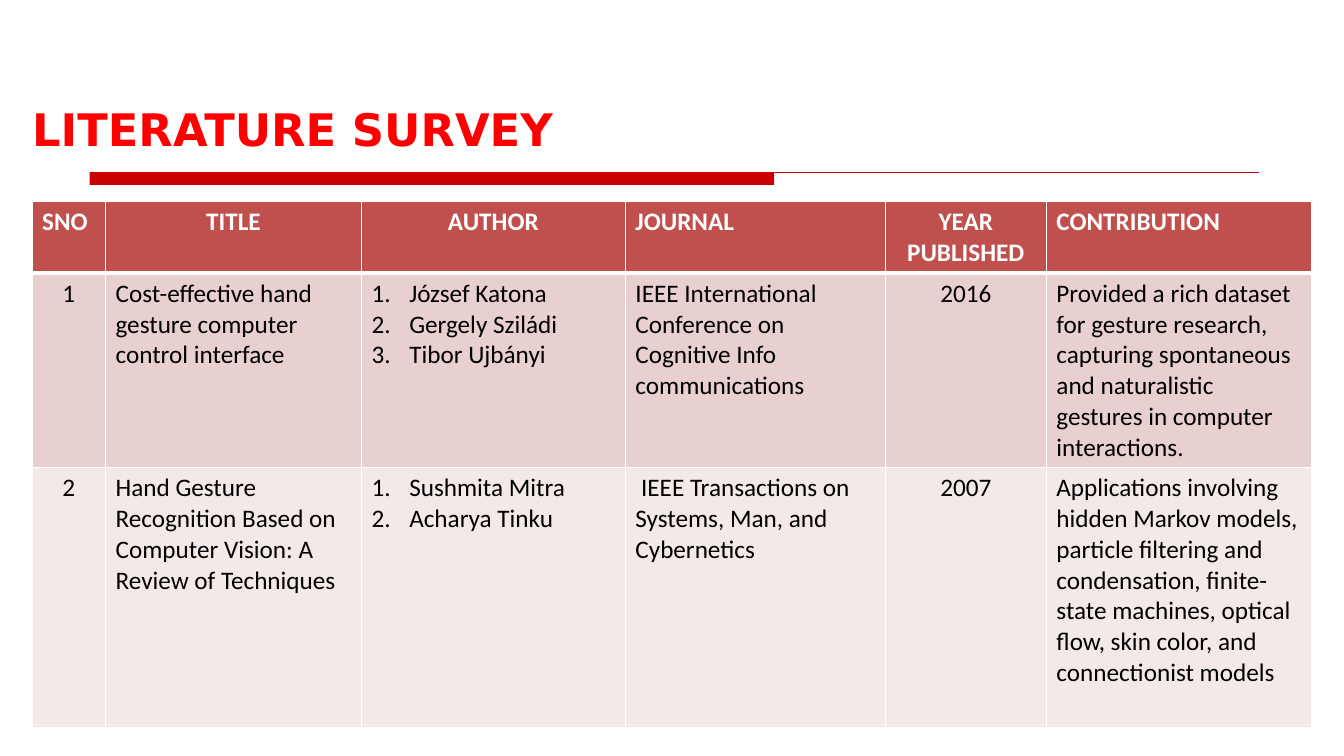
"""Build the literature survey slide."""
from lxml.etree import SubElement
from pptx import Presentation
from pptx.dml.color import RGBColor
from pptx.enum.shapes import MSO_CONNECTOR, MSO_SHAPE
from pptx.enum.text import MSO_ANCHOR, MSO_AUTO_SIZE, PP_ALIGN
from pptx.oxml.ns import qn
from pptx.util import Cm, Pt

HEADING = "LITERATURE SURVEY"
COLUMNS = [
    ("SNO", 1.85, PP_ALIGN.LEFT),
    ("TITLE", 6.45, PP_ALIGN.CENTER),
    ("AUTHOR", 6.65, PP_ALIGN.CENTER),
    ("JOURNAL", 6.55, PP_ALIGN.LEFT),
    ("YEAR PUBLISHED", 4.06, PP_ALIGN.CENTER),
    ("CONTRIBUTION", 6.68, PP_ALIGN.LEFT),
]
PAPERS = [
    ("1", "Cost-effective hand gesture computer control interface",
     ["József Katona", "Gergely Sziládi", "Tibor Ujbányi"],
     "IEEE International Conference on Cognitive Info communications", "2016",
     "Provided a rich dataset for gesture research, capturing spontaneous and "
     "naturalistic gestures in computer interactions."),
    ("2", "Hand Gesture Recognition Based on Computer Vision: A Review of Techniques",
     ["Sushmita Mitra", "Acharya Tinku"],
     " IEEE Transactions on Systems, Man, and Cybernetics", "2007",
     "Applications involving hidden Markov models, particle filtering and "
     "condensation, finite-state machines, optical flow, skin color, and "
     "connectionist models"),
]
ROW_HEIGHTS = [1.78, 4.9, 6.55]
CENTERED_COLUMNS = (0, 4)
COLORS = {
    "heading": "FF0000", "rule": "CC0000", "header": "C0504D",
    "odd": "E8D0D0", "even": "F4E9E9", "white": "FFFFFF", "text": "000000",
}
LEFT, TABLE_TOP = Cm(0.81), Cm(5.08)
RULE_LEFT, RULE_TOP = Cm(2.26), Cm(4.34)


def color(name):
    return RGBColor.from_string(COLORS[name])


def add_run(paragraph, text, font_name, size, color_name, bold):
    run = paragraph.add_run()
    run.text = text
    run.font.name = font_name
    run.font.size = Pt(size)
    run.font.bold = bold
    run.font.color.rgb = color(color_name)


def number_paragraph(paragraph):
    properties = paragraph._p.get_or_add_pPr()
    properties.set("marL", str(Cm(0.95)))
    properties.set("indent", str(-Cm(0.95)))
    SubElement(properties, qn("a:buFont"), typeface="+mj-lt")
    SubElement(properties, qn("a:buAutoNum"), type="arabicPeriod")


def add_borders(cell, widths):
    properties = cell._tc.get_or_add_tcPr()
    for position, (side, width) in enumerate(widths.items()):
        border = SubElement(properties, qn(f"a:ln{side}"), w=str(Pt(width)))
        fill = SubElement(border, qn("a:solidFill"))
        SubElement(fill, qn("a:srgbClr"), val=COLORS["white"])
        properties.insert(position, border)


def fill_cell(cell, content, align, fill_name, is_header):
    cell.fill.solid()
    cell.fill.fore_color.rgb = color(fill_name)
    numbered = isinstance(content, list)
    frame = cell.text_frame
    for index, text in enumerate(content if numbered else [content]):
        paragraph = frame.add_paragraph() if index else frame.paragraphs[0]
        paragraph.alignment = align
        if numbered:
            number_paragraph(paragraph)
        add_run(paragraph, text, "Calibri", 18, "white" if is_header else "text", is_header)


def add_heading(slide):
    heading = slide.shapes.title
    heading.left, heading.top, heading.width, heading.height = LEFT, Cm(2.57), Cm(29.21), Cm(1.37)
    frame = heading.text_frame
    frame.margin_left = frame.margin_top = frame.margin_right = frame.margin_bottom = 0
    frame.vertical_anchor = MSO_ANCHOR.TOP
    frame.auto_size = MSO_AUTO_SIZE.NONE
    frame.word_wrap = True
    frame.paragraphs[0].alignment = PP_ALIGN.LEFT
    add_run(frame.paragraphs[0], HEADING, "DejaVu Sans", 32, "heading", True)


def add_rule(slide):
    bar = slide.shapes.add_shape(MSO_SHAPE.RECTANGLE, RULE_LEFT, RULE_TOP, Cm(17.25), Cm(0.32))
    bar.shadow.inherit = False
    bar.fill.solid()
    bar.fill.fore_color.rgb = color("rule")
    bar.line.fill.background()
    line = slide.shapes.add_connector(
        MSO_CONNECTOR.STRAIGHT, RULE_LEFT, RULE_TOP, RULE_LEFT + Cm(29.46), RULE_TOP)
    line.line.color.rgb = color("rule")
    line.line.width = Pt(0.75)
    SubElement(line._element.spPr, qn("a:effectLst"))


def add_survey(slide):
    labels, widths, header_aligns = zip(*COLUMNS)
    body_aligns = [PP_ALIGN.CENTER if index in CENTERED_COLUMNS else PP_ALIGN.LEFT
                   for index in range(len(COLUMNS))]
    survey = slide.shapes.add_table(
        len(ROW_HEIGHTS), len(COLUMNS), LEFT, TABLE_TOP,
        Cm(sum(widths)), Cm(sum(ROW_HEIGHTS))).table
    for column, width in zip(survey.columns, widths):
        column.width = Cm(width)
    for row_index, contents in enumerate([labels, *PAPERS]):
        row = survey.rows[row_index]
        row.height = Cm(ROW_HEIGHTS[row_index])
        is_header = row_index == 0
        fill_name = "header" if is_header else ("even", "odd")[row_index % 2]
        aligns = header_aligns if is_header else body_aligns
        borders = {"L": 1, "R": 1, "T": 3 if row_index == 1 else 1, "B": 3 if is_header else 1}
        for cell, content, align in zip(row.cells, contents, aligns):
            fill_cell(cell, content, align, fill_name, is_header)
            add_borders(cell, borders)


def main():
    presentation = Presentation()
    presentation.slide_width, presentation.slide_height = Cm(33.87), Cm(19.05)
    slide = presentation.slides.add_slide(presentation.slide_layouts[5])
    add_rule(slide)
    add_heading(slide)
    add_survey(slide)
    presentation.save("out.pptx")


if __name__ == "__main__":
    main()
